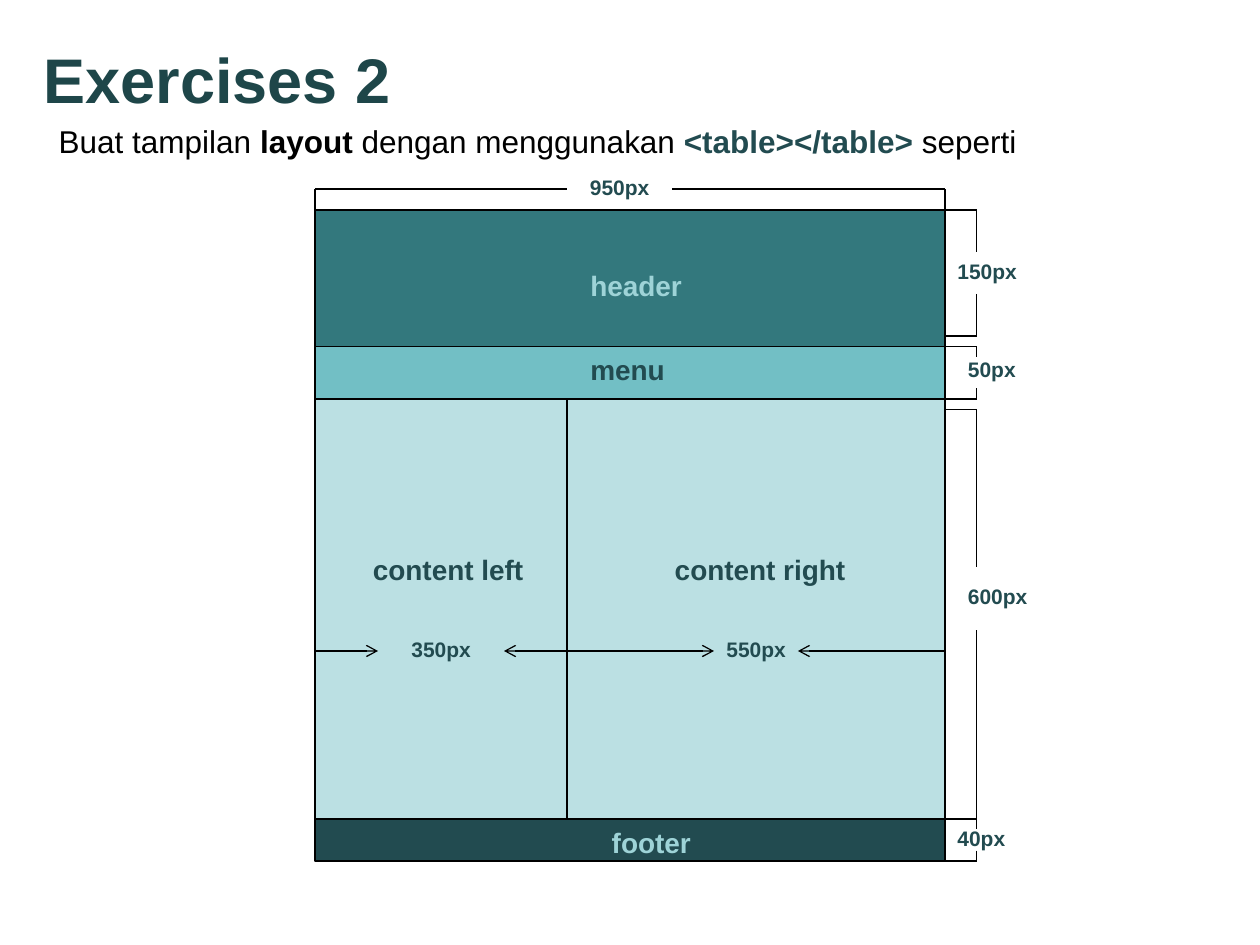
from lxml import etree
from pptx import Presentation
from pptx.dml.color import RGBColor
from pptx.enum.shapes import MSO_CONNECTOR, MSO_SHAPE
from pptx.enum.text import MSO_ANCHOR, MSO_AUTO_SIZE
from pptx.oxml.ns import qn
from pptx.util import Pt

STRAIGHT = MSO_CONNECTOR.STRAIGHT
RECTANGLE = MSO_SHAPE.RECTANGLE
MIDDLE = MSO_ANCHOR.MIDDLE
FIT_SHAPE = MSO_AUTO_SIZE.SHAPE_TO_FIT_TEXT
FIXED_SIZE = MSO_AUTO_SIZE.NONE

FONT = "Arial"
BLACK = "000000"
DARK = "224B50"
PALE = "9ED3D7"
CONTENT = "BBE0E3"

LEFT, SPLIT, RIGHT = 180, 324, 540
HEADER_TOP, MENU_TOP, CONTENT_TOP, FOOTER_TOP, BOTTOM = 120, 198, 228, 468, 492
WIDTH_RULE_Y = 108
HEIGHT_RULE_X = 558
ARROW_Y = 372


def color(hex_string):
    return RGBColor.from_string(hex_string)


def format_run(run, size, hex_string, bold):
    run.font.name = FONT
    run.font.size = Pt(size)
    run.font.bold = bold
    run.font.color.rgb = color(hex_string)


def add_text(slide, left, top, width, height, size, parts):
    box = slide.shapes.add_textbox(Pt(left), Pt(top), Pt(width), Pt(height))
    frame = box.text_frame
    frame.word_wrap = False
    frame.auto_size = FIT_SHAPE
    for text, hex_string, bold in parts:
        run = frame.paragraphs[0].add_run()
        run.text = text
        format_run(run, size, hex_string, bold)
    return frame


def add_title(slide, text):
    frame = add_text(slide, 18, 0, 648, 90, 36, [(text, "1E4649", True)])
    frame.auto_size = FIXED_SIZE
    frame.word_wrap = True
    frame.vertical_anchor = MIDDLE


def add_region(slide, left, top, right, bottom, fill):
    region = slide.shapes.add_shape(
        RECTANGLE, Pt(left), Pt(top), Pt(right - left), Pt(bottom - top))
    region.shadow.inherit = False
    region.fill.solid()
    region.fill.fore_color.rgb = color(fill)
    region.line.color.rgb = color(BLACK)
    region.line.width = Pt(0.75)


def add_line(slide, x1, y1, x2, y2, arrow=False):
    line = slide.shapes.add_connector(STRAIGHT, Pt(x1), Pt(y1), Pt(x2), Pt(y2))
    line.line.color.rgb = color(BLACK)
    line.line.width = Pt(0.75)
    properties = line._element.spPr
    if arrow:
        etree.SubElement(properties.find(qn("a:ln")), qn("a:tailEnd"), type="arrow")
    etree.SubElement(properties, qn("a:effectLst"))


def add_width_rule(slide):
    for edge, gap in [(LEFT, SPLIT), (RIGHT, 384)]:
        add_line(slide, edge, HEADER_TOP, edge, WIDTH_RULE_Y)
        add_line(slide, edge, WIDTH_RULE_Y, gap, WIDTH_RULE_Y)


def add_height_rules(slide, rules):
    ticks = set()
    for top, gap_top, gap_bottom, bottom in rules:
        add_line(slide, HEIGHT_RULE_X, top, HEIGHT_RULE_X, gap_top)
        add_line(slide, HEIGHT_RULE_X, gap_bottom, HEIGHT_RULE_X, bottom)
        ticks.update((top, bottom))
    for y in sorted(ticks):
        add_line(slide, RIGHT, y, HEIGHT_RULE_X, y)


def main():
    prs = Presentation()
    prs.slide_width, prs.slide_height = Pt(720), Pt(540)
    slide = prs.slides.add_slide(prs.slide_layouts[6])

    add_title(slide, "Exercises 2")
    add_text(slide, 26.5, 66, 568, 29, 18, [
        ("Buat tampilan ", BLACK, False),
        ("layout ", BLACK, True),
        ("dengan menggunakan ", BLACK, False),
        ("<table></table> ", DARK, True),
        ("seperti", BLACK, False),
    ])

    for region in [
        (LEFT, HEADER_TOP, RIGHT, MENU_TOP, "33787D"),
        (LEFT, MENU_TOP, RIGHT, CONTENT_TOP, "72BFC5"),
        (LEFT, CONTENT_TOP, SPLIT, FOOTER_TOP, CONTENT),
        (SPLIT, CONTENT_TOP, RIGHT, FOOTER_TOP, CONTENT),
        (LEFT, FOOTER_TOP, RIGHT, BOTTOM, DARK),
    ]:
        add_region(slide, *region)

    for name, left, top, width, hex_string in [
        ("header", 330.25, 150, 67, PALE),
        ("menu", 330.25, 198, 58, DARK),
        ("content left", 206, 312, 101, DARK),
        ("content right", 378.5, 312, 113, DARK),
        ("footer", 342.5, 468, 61, PALE),
    ]:
        add_text(slide, left, top, width, 26.5, 16, [(name, hex_string, True)])

    add_width_rule(slide)
    add_height_rules(slide, [
        (HEADER_TOP, 144, 168, 192),
        (MENU_TOP, 204, 222, CONTENT_TOP),
        (234, 324, 360, FOOTER_TOP),
        (FOOTER_TOP, 474, 486, BOTTOM),
    ])
    for start, end in [(LEFT, 216), (SPLIT, 288), (SPLIT, 408), (RIGHT, 456)]:
        add_line(slide, start, ARROW_Y, end, ARROW_Y, arrow=True)

    for measure, left, top, width in [
        ("950px", 330, 96, 49),
        ("150px", 540, 144, 49),
        ("50px", 546, 200, 43),
        ("600px", 546, 330, 49),
        ("40px", 540, 468, 43),
        ("350px", 228, 360, 49),
        ("550px", 408, 360, 49),
    ]:
        add_text(slide, left, top, width, 21.8, 12, [(measure, DARK, True)])

    prs.save("out.pptx")


if __name__ == "__main__":
    main()
